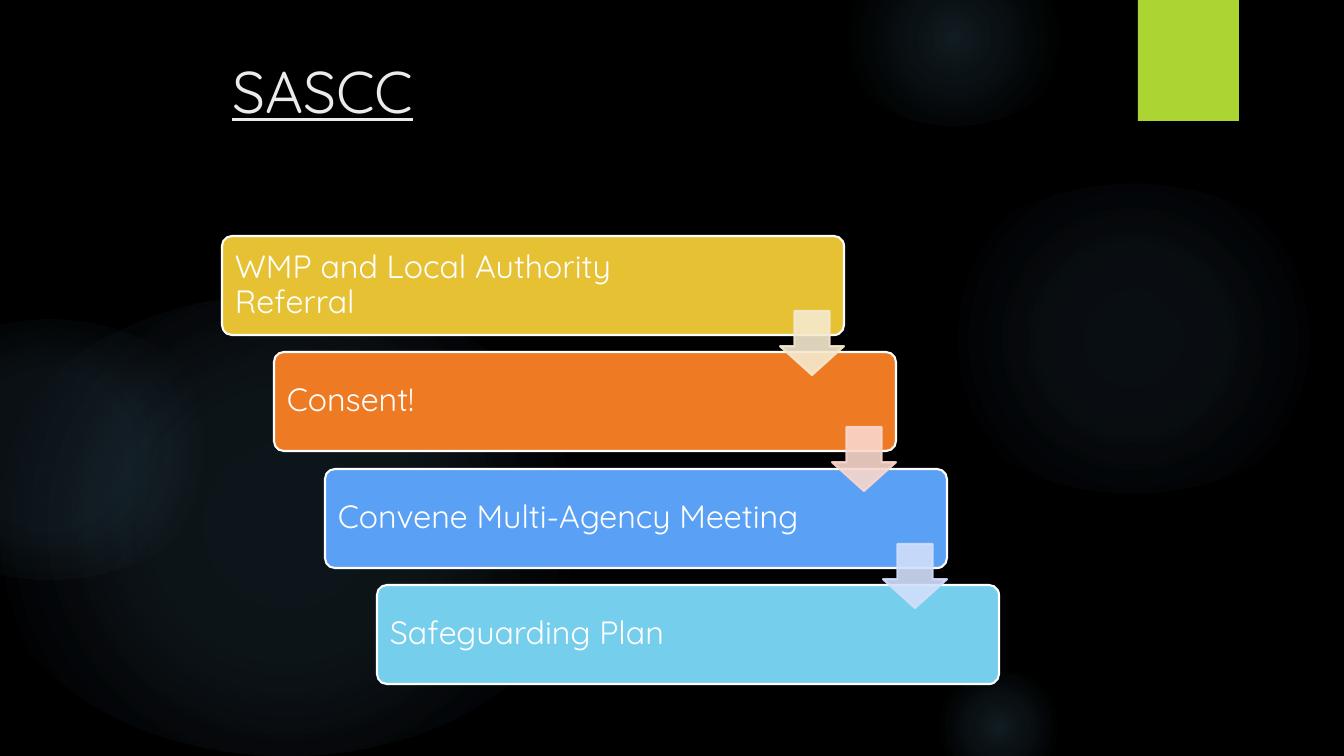
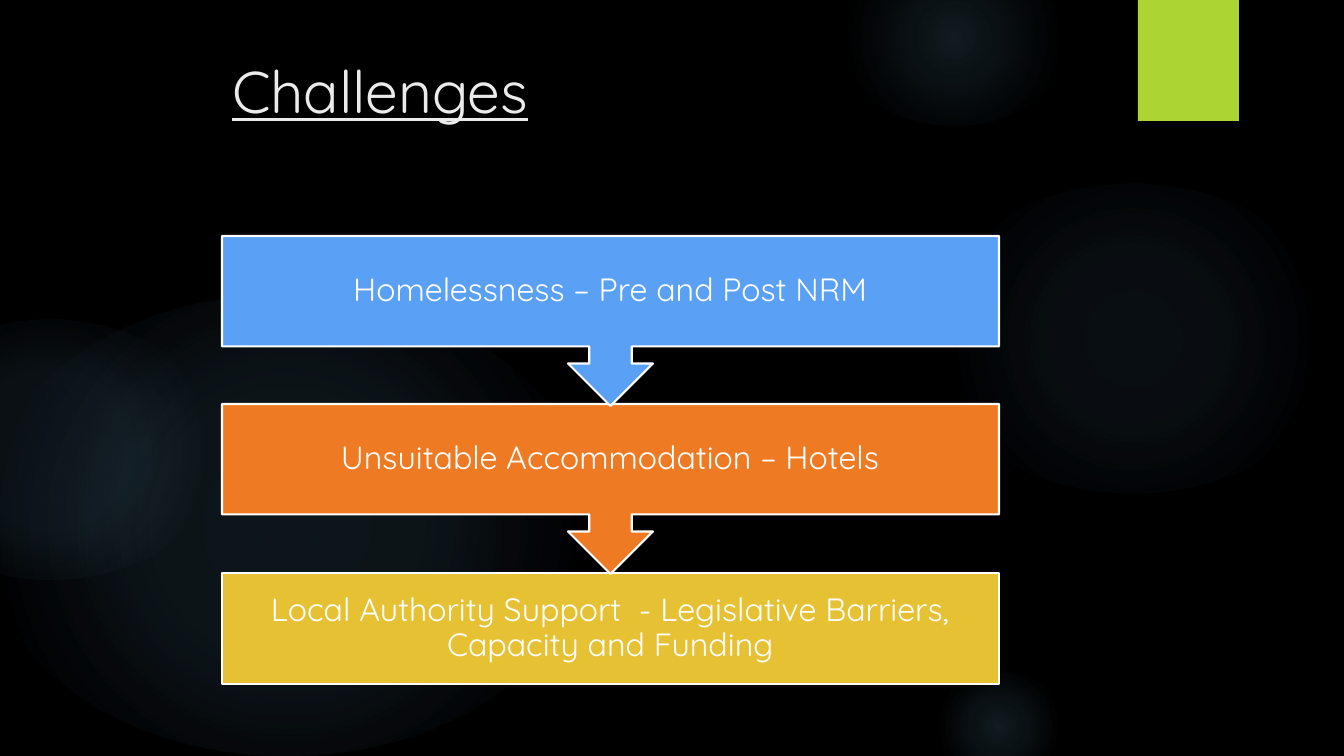
from dataclasses import dataclass

from lxml.etree import SubElement
from pptx import Presentation
from pptx.dml.color import RGBColor
from pptx.enum.shapes import MSO_SHAPE
from pptx.enum.text import MSO_ANCHOR, MSO_AUTO_SIZE, PP_ALIGN
from pptx.oxml import parse_xml
from pptx.oxml.ns import nsdecls, qn
from pptx.util import Emu, Pt

SLIDE_WIDTH, SLIDE_HEIGHT = 1344, 756
EMU_PER_PX = 12192000 / SLIDE_WIDTH

COLORS = {
    "background": "000000",
    "glow": "7AC4F0",
    "accent": "ACD433",
    "title": "EBEBEB",
    "white": "FFFFFF",
    "yellow": "E6C133",
    "orange": "EF7A24",
    "blue": "5AA0F5",
    "sky": "75CEEC",
    "pale_yellow": "F5E9CE",
    "pale_orange": "F9D7CD",
    "pale_blue": "D2DFFB",
}
TITLE_FONT = {"name": "Quicksand", "size": Pt(42), "underline": True}
LABEL_FONT = {"name": "Quicksand", "size": Pt(23)}
LABEL_LINE_SPACING = 0.9


@dataclass(frozen=True)
class Box:
    left: int
    top: int
    width: int
    height: int


@dataclass(frozen=True)
class Glow:
    box: Box
    stops: tuple[tuple[int, int], ...]  # position and opacity, in percent


@dataclass(frozen=True)
class Step:
    text: str
    color: str
    arrow_color: str = ""


GLOWS = (
    Glow(Box(926, 184, 414, 310), ((0, 7), (36, 6), (69, 0))),
    Glow(Box(837, -50, 235, 176), ((0, 14), (36, 7), (73, 0))),
    Glow(Box(926, 672, 145, 109), ((0, 14), (36, 7), (66, 0))),
    Glow(Box(-22, 294, 616, 462), ((0, 11), (36, 10), (75, 0))),
    Glow(Box(-123, 320, 347, 260), ((0, 8), (36, 8), (72, 0))),
)
ACCENT_BOX = Box(1138, 0, 101, 121)
TITLE_BOX = Box(222, 50, 777, 154)

# The staircase and the stack fill the same area
CONTENT = Box(222, 236, 777, 448)
BAR_WIDTH, BAR_HEIGHT = 622, 99
ARROW_SIZE, ARROW_DROP = 64, 75
BLOCK_HEIGHT, CALLOUT_HEIGHT = 111, 170

REFERRAL_STEPS = (
    Step("WMP and Local Authority Referral", "yellow", "pale_yellow"),
    Step("Consent!", "orange", "pale_orange"),
    Step("Convene Multi-Agency Meeting", "blue", "pale_blue"),
    Step("Safeguarding Plan", "sky"),
)
CHALLENGES = (
    Step("Homelessness – Pre and Post NRM", "blue"),
    Step("Unsuitable Accommodation – Hotels", "orange"),
    Step("Local Authority Support  - Legislative Barriers, Capacity and Funding", "yellow"),
)


def px(length: float) -> Emu:
    return Emu(round(length * EMU_PER_PX))


def color(name: str) -> RGBColor:
    return RGBColor.from_string(COLORS[name])


def place(shape, box: Box) -> None:
    for side in ("left", "top", "width", "height"):
        setattr(shape, side, px(getattr(box, side)))


def format_font(font, values: dict, color_name: str) -> None:
    for attribute, value in values.items():
        setattr(font, attribute, value)
    font.color.rgb = color(color_name)


def add_shape(slide, kind: MSO_SHAPE, box: Box, fill: str = "", line: str = ""):
    shape = slide.shapes.add_shape(kind, 0, 0, 0, 0)
    place(shape, box)
    shape.shadow.inherit = False
    if fill:
        shape.fill.solid()
        shape.fill.fore_color.rgb = color(fill)
    if line:
        shape.line.color.rgb = color(line)
        shape.line.width = Pt(1.5)
    else:
        shape.line.fill.background()
    return shape


def set_label(shape, text: str, alignment: PP_ALIGN, inset: int, right_inset: int) -> None:
    frame = shape.text_frame
    values = {
        "word_wrap": True,
        "vertical_anchor": MSO_ANCHOR.MIDDLE,
        "margin_left": px(inset),
        "margin_top": px(inset),
        "margin_bottom": px(inset),
        "margin_right": px(right_inset),
    }
    for attribute, value in values.items():
        setattr(frame, attribute, value)
    paragraph = frame.paragraphs[0]
    paragraph.alignment = alignment
    paragraph.line_spacing = LABEL_LINE_SPACING
    run = paragraph.add_run()
    run.text = text
    format_font(run.font, LABEL_FONT, "white")


def set_opacity(shape, percent: int) -> None:
    for color_element in shape.element.spPr.iter(qn("a:srgbClr")):
        SubElement(color_element, qn("a:alpha")).set("val", str(percent * 1000))


def add_glow(slide, glow: Glow):
    shape = add_shape(slide, MSO_SHAPE.OVAL, glow.box)
    stops = "".join(
        f'<a:gs pos="{position * 1000}"><a:srgbClr val="{COLORS["glow"]}">'
        f'<a:alpha val="{opacity * 1000}"/></a:srgbClr></a:gs>'
        for position, opacity in glow.stops
    )
    gradient = parse_xml(
        f'<a:gradFill {nsdecls("a")} rotWithShape="1"><a:gsLst>{stops}</a:gsLst>'
        '<a:path path="circle"><a:fillToRect l="50000" t="50000" r="50000" b="50000"/></a:path>'
        "</a:gradFill>"
    )
    shape.element.spPr.find(qn("a:prstGeom")).addnext(gradient)
    return shape


def decorate_layout(layout, slide) -> None:
    """Draw the shared decoration and hand it over to the layout."""
    decorations = [add_glow(slide, glow) for glow in GLOWS]
    decorations.append(add_shape(slide, MSO_SHAPE.RECTANGLE, ACCENT_BOX, "accent"))
    tree = layout.shapes.element
    for index, shape in enumerate(decorations):
        shape.element.xpath(".//p:cNvPr")[0].set("id", str(100 + index))
        tree.insert(2 + index, shape.element)


def add_slide(presentation, layout, title: str):
    slide = presentation.slides.add_slide(layout)
    frame = slide.shapes.title.text_frame
    frame.vertical_anchor = MSO_ANCHOR.TOP
    frame.auto_size = MSO_AUTO_SIZE.NONE
    place(slide.shapes.title, TITLE_BOX)
    paragraph = frame.paragraphs[0]
    paragraph.alignment = PP_ALIGN.LEFT
    run = paragraph.add_run()
    run.text = title
    format_font(run.font, TITLE_FONT, "title")
    return slide


def add_staircase(slide, steps: tuple[Step, ...]) -> None:
    gaps = len(steps) - 1
    bars = [
        Box(
            CONTENT.left + round((CONTENT.width - BAR_WIDTH) * index / gaps),
            CONTENT.top + round((CONTENT.height - BAR_HEIGHT) * index / gaps),
            BAR_WIDTH,
            BAR_HEIGHT,
        )
        for index in range(len(steps))
    ]
    for step, bar in zip(steps, bars):
        shape = add_shape(slide, MSO_SHAPE.ROUNDED_RECTANGLE, bar, step.color, "white")
        shape.adjustments[0] = 0.1
        set_label(shape, step.text, PP_ALIGN.LEFT, inset=10, right_inset=119)

    # Arrows lie over the bars they link
    for step, bar in zip(steps[:-1], bars):
        box = Box(bar.left + BAR_WIDTH - ARROW_SIZE, bar.top + ARROW_DROP, ARROW_SIZE, ARROW_SIZE)
        arrow = add_shape(slide, MSO_SHAPE.DOWN_ARROW, box, step.arrow_color, step.arrow_color)
        arrow.adjustments[0] = 0.55
        arrow.adjustments[1] = 0.45
        set_opacity(arrow, 90)


def add_stack(slide, steps: tuple[Step, ...]) -> None:
    last = len(steps) - 1
    pitch = (CONTENT.height - BLOCK_HEIGHT) / last
    # Bottom block first, so that each arrow tip lies on the block below
    for index in range(last, -1, -1):
        is_last = index == last
        kind = MSO_SHAPE.RECTANGLE if is_last else MSO_SHAPE.DOWN_ARROW_CALLOUT
        height = BLOCK_HEIGHT if is_last else CALLOUT_HEIGHT
        box = Box(CONTENT.left, CONTENT.top + round(pitch * index), CONTENT.width, height)
        shape = add_shape(slide, kind, box, steps[index].color, "white")
        set_label(shape, steps[index].text, PP_ALIGN.CENTER, inset=18, right_inset=18)


def main() -> None:
    presentation = Presentation()
    presentation.slide_width = px(SLIDE_WIDTH)
    presentation.slide_height = px(SLIDE_HEIGHT)
    background = presentation.slide_master.background.fill
    background.solid()
    background.fore_color.rgb = color("background")
    layout = presentation.slide_layouts.get_by_name("Title Only")

    # Referral process
    process_slide = add_slide(presentation, layout, "SASCC")
    decorate_layout(layout, process_slide)
    add_staircase(process_slide, REFERRAL_STEPS)

    # Challenges
    challenges_slide = add_slide(presentation, layout, "Challenges")
    add_stack(challenges_slide, CHALLENGES)

    presentation.save("out.pptx")


if __name__ == "__main__":
    main()
